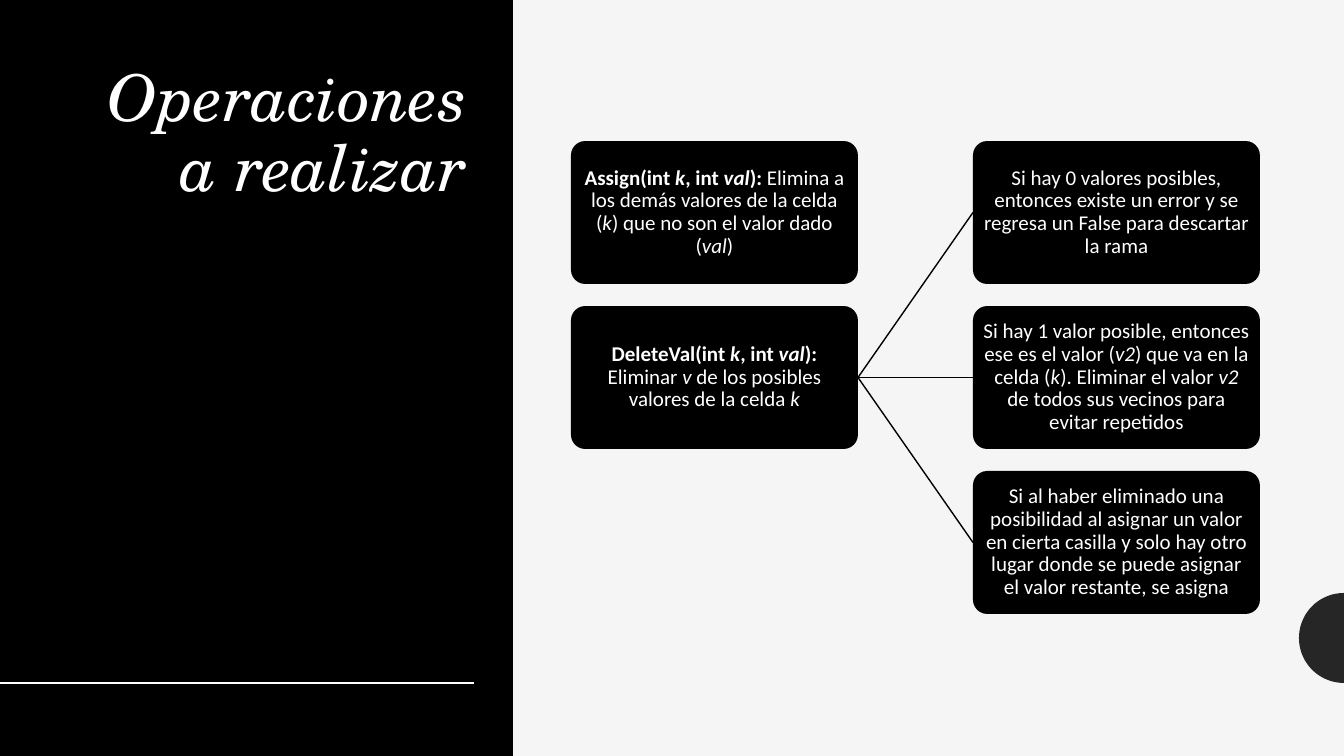
import math
from dataclasses import dataclass

import lxml.etree
import pptx
import pptx.dml.color
import pptx.enum.shapes
import pptx.enum.text
import pptx.oxml.ns
import pptx.presentation
import pptx.shapes.autoshape
import pptx.shapes.connector
import pptx.slide
import pptx.util

SLIDE_WIDTH, SLIDE_HEIGHT = 1344, 756
EMU_PER_PX = 12192000 / SLIDE_WIDTH
COLORS = {"background": "F5F5F5", "black": "000000", "white": "FFFFFF", "circle": "262626"}
PANEL_WIDTH = 513
COLUMN_LEFTS = (571, 973)
ROW_TOP, ROW_PITCH = 141, 165
BOX_WIDTH, BOX_HEIGHT, BOX_INSET = 287, 143, 5
RULE_Y, RULE_RIGHT = 683, 474
CIRCLE_RADIUS, CIRCLE_CENTER_Y = 45, 638


@dataclass
class Run:
    text: str
    bold: bool = False
    italic: bool = False


@dataclass
class Box:
    column: int
    row: int
    runs: list[Run]


ASSIGN = Box(0, 0, [
    Run("Assign(int ", True), Run("k", True, True), Run(", int ", True),
    Run("val", True, True), Run("):", True),
    Run(" Elimina a los demás valores de la celda ("), Run("k", italic=True),
    Run(") que no son el valor dado ("), Run("val", italic=True), Run(")"),
])
DELETE = Box(0, 1, [
    Run("DeleteVal(int ", True), Run("k", True, True), Run(", int ", True),
    Run("val", True, True), Run("):", True), Run(" Eliminar "), Run("v", italic=True),
    Run(" de los posibles valores de la celda "), Run("k", italic=True),
])
CASES = [
    Box(1, 0, [Run("Si hay 0 valores posibles, entonces existe un error y se regresa "
                   "un False para descartar la rama")]),
    Box(1, 1, [
        Run("Si hay 1 valor posible, entonces ese es el valor ("), Run("v2", italic=True),
        Run(") que va en la celda ("), Run("k", italic=True),
        Run("). Eliminar el valor "), Run("v2", italic=True),
        Run(" de todos sus vecinos para evitar repetidos"),
    ]),
    Box(1, 2, [Run("Si al haber eliminado una posibilidad al asignar un valor en cierta "
                   "casilla y solo hay otro lugar donde se puede asignar el valor "
                   "restante, se asigna")]),
]


def px(length: float) -> pptx.util.Emu:
    return pptx.util.Emu(round(length * EMU_PER_PX))


def color(name: str) -> pptx.dml.color.RGBColor:
    return pptx.dml.color.RGBColor.from_string(COLORS[name])


def fill_shape(shape: pptx.shapes.autoshape.Shape, name: str) -> None:
    shape.shadow.inherit = False
    shape.fill.solid()
    shape.fill.fore_color.rgb = color(name)
    shape.line.fill.background()


def add_circle(slide: pptx.slide.Slide) -> None:
    angles = [math.radians(degrees) for degrees in range(90, 271, 5)]
    points = [
        (round(SLIDE_WIDTH + CIRCLE_RADIUS * math.cos(angle), 2),
         round(CIRCLE_CENTER_Y + CIRCLE_RADIUS * math.sin(angle), 2))
        for angle in angles
    ]
    builder = slide.shapes.build_freeform(px(points[0][0]), px(points[0][1]))
    builder.add_line_segments([(px(x), px(y)) for x, y in points[1:]], close=True)
    fill_shape(builder.convert_to_shape(), "circle")


def add_panel(slide: pptx.slide.Slide) -> None:
    panel = slide.shapes.add_shape(
        pptx.enum.shapes.MSO_SHAPE.RECTANGLE, 0, 0, px(PANEL_WIDTH), px(SLIDE_HEIGHT))
    fill_shape(panel, "black")


def add_title(slide: pptx.slide.Slide) -> None:
    title = slide.shapes.title
    slide.shapes[-1].element.addnext(title.element)
    title.left, title.top, title.width, title.height = px(84), px(61), px(393), px(546)
    frame = title.text_frame
    frame.text = "Operaciones a realizar"
    frame.word_wrap = True
    frame.auto_size = pptx.enum.text.MSO_AUTO_SIZE.NONE
    frame.vertical_anchor = pptx.enum.text.MSO_ANCHOR.TOP
    paragraph = frame.paragraphs[0]
    paragraph.alignment = pptx.enum.text.PP_ALIGN.RIGHT
    paragraph.line_spacing = 0.9
    paragraph.font.name = "TeX Gyre Schola"
    paragraph.font.size = pptx.util.Pt(46)
    paragraph.font.italic = True
    paragraph.font.color.rgb = color("white")


def add_line(slide: pptx.slide.Slide, name: str, width: int) -> pptx.shapes.connector.Connector:
    line = slide.shapes.add_connector(
        pptx.enum.shapes.MSO_CONNECTOR.STRAIGHT, 0, px(RULE_Y), px(RULE_RIGHT), px(RULE_Y))
    line.line.color.rgb = color(name)
    line.line.width = pptx.util.Pt(width)
    properties = line.element.find(pptx.oxml.ns.qn("p:spPr"))
    lxml.etree.SubElement(properties, pptx.oxml.ns.qn("a:effectLst"))
    return line


def add_box(slide: pptx.slide.Slide, box: Box) -> pptx.shapes.autoshape.Shape:
    shape = slide.shapes.add_shape(
        pptx.enum.shapes.MSO_SHAPE.ROUNDED_RECTANGLE,
        px(COLUMN_LEFTS[box.column]), px(ROW_TOP + box.row * ROW_PITCH),
        px(BOX_WIDTH), px(BOX_HEIGHT))
    shape.adjustments[0] = 0.1
    fill_shape(shape, "black")
    frame = shape.text_frame
    frame.word_wrap = True
    frame.vertical_anchor = pptx.enum.text.MSO_ANCHOR.MIDDLE
    frame.margin_left = frame.margin_right = px(BOX_INSET)
    frame.margin_top = frame.margin_bottom = px(BOX_INSET)
    paragraph = frame.paragraphs[0]
    paragraph.alignment = pptx.enum.text.PP_ALIGN.CENTER
    paragraph.line_spacing = 0.9
    paragraph.font.name = "Calibri"
    paragraph.font.size = pptx.util.Pt(15)
    paragraph.font.color.rgb = color("white")
    for part in box.runs:
        run = paragraph.add_run()
        run.text = part.text
        run.font.bold = part.bold
        run.font.italic = part.italic
    return shape


def add_branches(slide: pptx.slide.Slide) -> None:
    add_box(slide, ASSIGN)
    parent = add_box(slide, DELETE)
    for case in CASES:
        child = add_box(slide, case)
        branch = add_line(slide, "black", 1)
        branch.begin_connect(parent, 3)
        branch.end_connect(child, 1)


def main() -> None:
    presentation = pptx.Presentation()
    presentation.slide_width = px(SLIDE_WIDTH)
    presentation.slide_height = px(SLIDE_HEIGHT)
    slide = presentation.slides.add_slide(presentation.slide_layouts[5])
    slide.background.fill.solid()
    slide.background.fill.fore_color.rgb = color("background")
    add_circle(slide)
    add_panel(slide)
    add_title(slide)
    add_line(slide, "white", 2)
    add_branches(slide)
    presentation.save("out.pptx")


if __name__ == "__main__":
    main()
